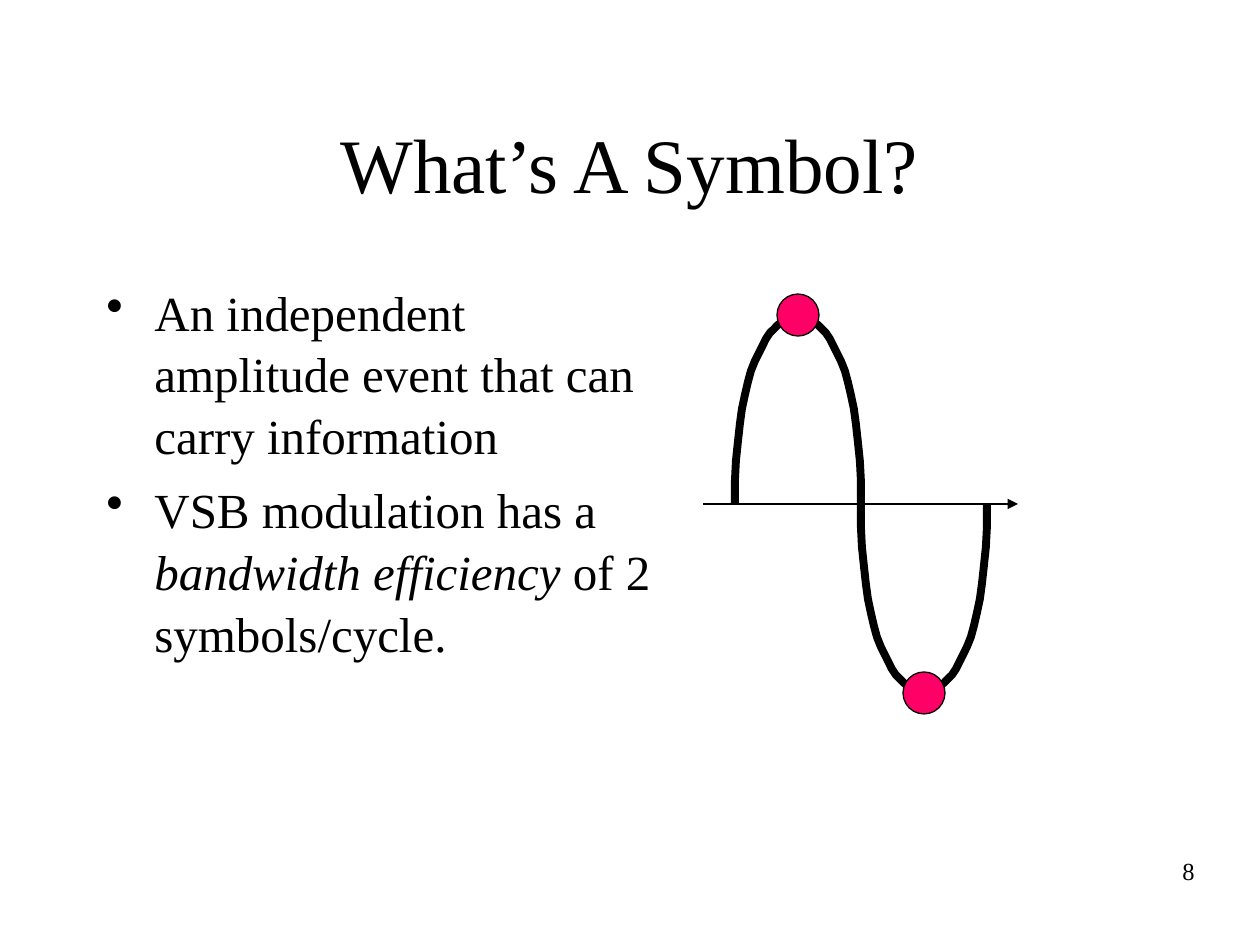
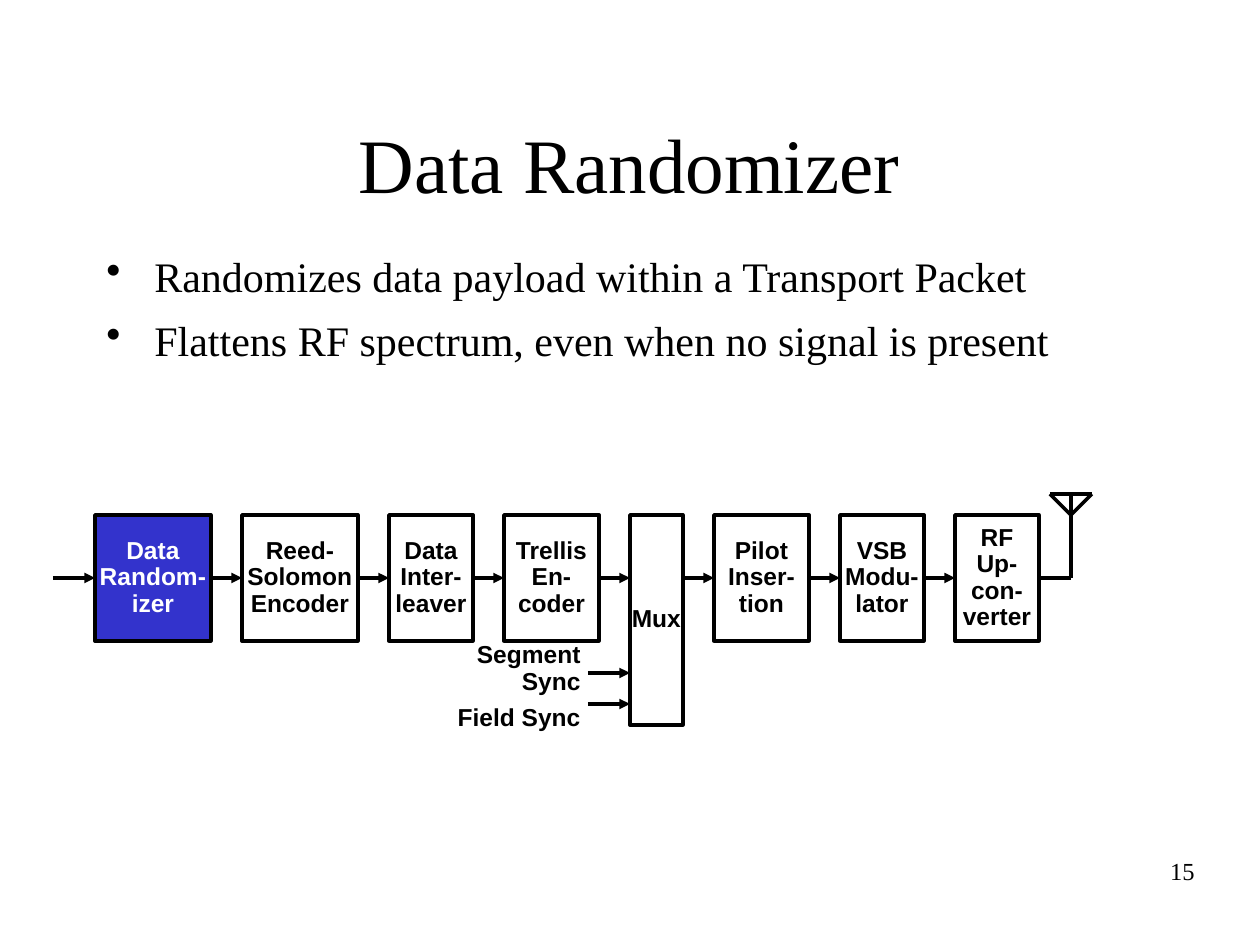
from lxml import etree
from pptx import Presentation
from pptx.dml.color import RGBColor
from pptx.enum.shapes import MSO_CONNECTOR, MSO_SHAPE
from pptx.enum.text import MSO_ANCHOR, PP_ALIGN
from pptx.oxml.ns import qn
from pptx.util import Pt

PX = 7257  # EMU in one px, 126 px to the inch
STRAIGHT = MSO_CONNECTOR.STRAIGHT
RECTANGLE, OVAL = MSO_SHAPE.RECTANGLE, MSO_SHAPE.OVAL
TOP, MIDDLE = MSO_ANCHOR.TOP, MSO_ANCHOR.MIDDLE
LEFT, CENTER, RIGHT = PP_ALIGN.LEFT, PP_ALIGN.CENTER, PP_ALIGN.RIGHT
SIDE_LEFT, SIDE_RIGHT = 1, 3
SERIF, SANS = "Times New Roman", "Arial"
COLORS = {name: RGBColor.from_string(code) for name, code in {
    "ink": "000000", "paper": "FFFFFF", "active": "3333CC", "symbol": "FF0066",
}.items()}


def add_text(slide, text, box, *, size, font=SERIF, color="ink", bold=False,
             align=LEFT, anchor=TOP, wrap=True, fill=None, bullet=False,
             spacing=1.0, before=0):
    """Write one paragraph per line; words between asterisks are italic."""
    place = [value * PX for value in box]
    if fill:
        holder = slide.shapes.add_shape(RECTANGLE, *place)
        holder.shadow.inherit = False
        holder.fill.solid()
        holder.fill.fore_color.rgb = COLORS[fill]
        holder.line.color.rgb = COLORS["ink"]
        holder.line.width = Pt(2)
    else:
        holder = slide.shapes.add_textbox(*place)
    frame = holder.text_frame
    frame.word_wrap = wrap
    frame.vertical_anchor = anchor
    for number, line in enumerate(text.split("\n")):
        paragraph = frame.add_paragraph() if number else frame.paragraphs[0]
        paragraph.alignment = align
        paragraph.line_spacing = spacing
        paragraph.space_before = Pt(before if number else 0)
        if bullet:
            properties = paragraph._p.get_or_add_pPr()
            properties.set("marL", str(48 * PX))
            properties.set("indent", str(-48 * PX))
            etree.SubElement(properties, qn("a:buChar"), char="•")
        for part, words in enumerate(line.split("*")):
            run = paragraph.add_run()
            run.text = words
            run.font.name = font
            run.font.size = Pt(size)
            run.font.bold = bold
            run.font.italic = part % 2 == 1
            run.font.color.rgb = COLORS[color]
    return holder


def add_line(slide, x1, y1, x2, y2, width=2, arrow=False):
    line = slide.shapes.add_connector(STRAIGHT, x1 * PX, y1 * PX, x2 * PX, y2 * PX)
    line.line.color.rgb = COLORS["ink"]
    line.line.width = Pt(width)
    if arrow:
        etree.SubElement(line.line._get_or_add_ln(), qn("a:tailEnd"), type="triangle")
    etree.SubElement(line._element.spPr, qn("a:effectLst"))
    return line


prs = Presentation()
prs.slide_width, prs.slide_height = 1260 * PX, 945 * PX

# Title, bullets and page number of both slides
pages = [
    ("What’s A Symbol?", "8", (94, 273, 588, 567), 28, 7,
     "An independent amplitude event that can carry information\n"
     "VSB modulation has a *bandwidth efficiency* of 2 symbols/cycle."),
    ("Data Randomizer", "15", (94, 242, 1071, 147), 24, 6,
     "Randomizes data payload within a Transport Packet\n"
     "Flattens RF spectrum, even when no signal is present"),
]
for title, page_number, body_box, body_size, before, bullets in pages:
    slide = prs.slides.add_slide(prs.slide_layouts[6])
    add_text(slide, title, (94, 84, 1071, 158), size=44, align=CENTER, anchor=MIDDLE)
    add_text(slide, bullets, body_box, size=body_size, bullet=True,
             spacing=1.05, before=before)
    add_text(slide, page_number, (945, 850, 262, 63), size=14, align=RIGHT)
symbol_slide, randomizer_slide = prs.slides

# One cycle: two half waves on a time axis, with a symbol at each peak
AXIS_Y, HALF_WAVE, AMPLITUDE, STEPS = 504, 126, 189, 24
quarter = []
for step in range(STEPS + 1):
    t = step / STEPS
    quarter.append((HALF_WAVE / 2 * (3 * t**2 - 2 * t**3), AMPLITUDE * (1 - (1 - t)**3)))
half_wave = quarter + [(HALF_WAVE - x, y) for x, y in reversed(quarter[:-1])]
half_waves = [(735, -1), (735 + HALF_WAVE, 1)]
for start, direction in half_waves:
    points = [(start + x, AXIS_Y + direction * y) for x, y in half_wave]
    outline = symbol_slide.shapes.build_freeform(*points[0], scale=PX)
    outline.add_line_segments(points[1:], close=False)
    wave = outline.convert_to_shape()
    wave.shadow.inherit = False
    wave.fill.background()
    wave.line.color.rgb = COLORS["ink"]
    wave.line.width = Pt(4.5)
add_line(symbol_slide, 703, AXIS_Y, 1018, AXIS_Y, width=0.75, arrow=True)
for start, direction in half_waves:
    peak_x, peak_y = start + HALF_WAVE // 2, AXIS_Y + direction * AMPLITUDE
    symbol = symbol_slide.shapes.add_shape(
        OVAL, (peak_x - 21) * PX, (peak_y - 21) * PX, 42 * PX, 42 * PX)
    symbol.shadow.inherit = False
    symbol.fill.solid()
    symbol.fill.fore_color.rgb = COLORS["symbol"]
    symbol.line.color.rgb = COLORS["ink"]
    symbol.line.width = Pt(0.75)

# Transmitter chain: stages in a row, each fed by an arrow
STAGE_TOP, STAGE_HEIGHT, GAP = 515, 126, 31
SIGNAL_Y = STAGE_TOP + STAGE_HEIGHT // 2
stages = [
    ("Data\nRandom-\nizer", 116), ("Reed-\nSolomon\nEncoder", 116),
    ("Data\nInter-\nleaver", 84), ("Trellis\nEn-\ncoder", 95), ("Mux", 53),
    ("Pilot\nInser-\ntion", 95), ("VSB\nModu-\nlator", 84),
    ("RF\nUp-\ncon-\nverter", 84),
]
stage_left, previous, previous_label = 95, None, None
for label, width in stages:
    active = previous is None
    height = 210 if label == "Mux" else STAGE_HEIGHT
    stage = add_text(
        randomizer_slide, label, (stage_left, STAGE_TOP, width, height), size=14,
        font=SANS, bold=True, align=CENTER, anchor=MIDDLE, wrap=False, spacing=0.9,
        fill="active" if active else "paper", color="paper" if active else "ink")
    feed_length = 42 if active else GAP
    feed = add_line(randomizer_slide, stage_left - feed_length, SIGNAL_Y,
                    stage_left, SIGNAL_Y, arrow=True)
    # The signal meets the tall Mux above the middle of its sides
    if previous and previous_label != "Mux":
        feed.begin_connect(previous, SIDE_RIGHT)
    if label == "Mux":
        mux_left = stage_left
    else:
        feed.end_connect(stage, SIDE_LEFT)
    chain_end = stage_left + width
    stage_left = chain_end + GAP
    previous, previous_label = stage, label

# Sync inputs of the Mux
add_text(randomizer_slide, "Segment Sync\nField Sync", (399, 650, 194, 74), size=14,
         font=SANS, bold=True, align=RIGHT, anchor=MIDDLE, wrap=False,
         spacing=0.9, before=5.5)
for sync_y in (673, 704):
    add_line(randomizer_slide, mux_left - 42, sync_y, mux_left, sync_y, arrow=True)

# Antenna
MAST_X, ANTENNA_TOP, ANTENNA_HALF = 1071, 494, 21
output = add_line(randomizer_slide, chain_end, SIGNAL_Y, MAST_X, SIGNAL_Y)
output.begin_connect(previous, SIDE_RIGHT)
add_line(randomizer_slide, MAST_X, SIGNAL_Y, MAST_X, ANTENNA_TOP)
add_line(randomizer_slide, MAST_X - ANTENNA_HALF, ANTENNA_TOP,
         MAST_X + ANTENNA_HALF, ANTENNA_TOP)
for side in (-ANTENNA_HALF, ANTENNA_HALF):
    add_line(randomizer_slide, MAST_X + side, ANTENNA_TOP, MAST_X, STAGE_TOP)

prs.save("out.pptx")
